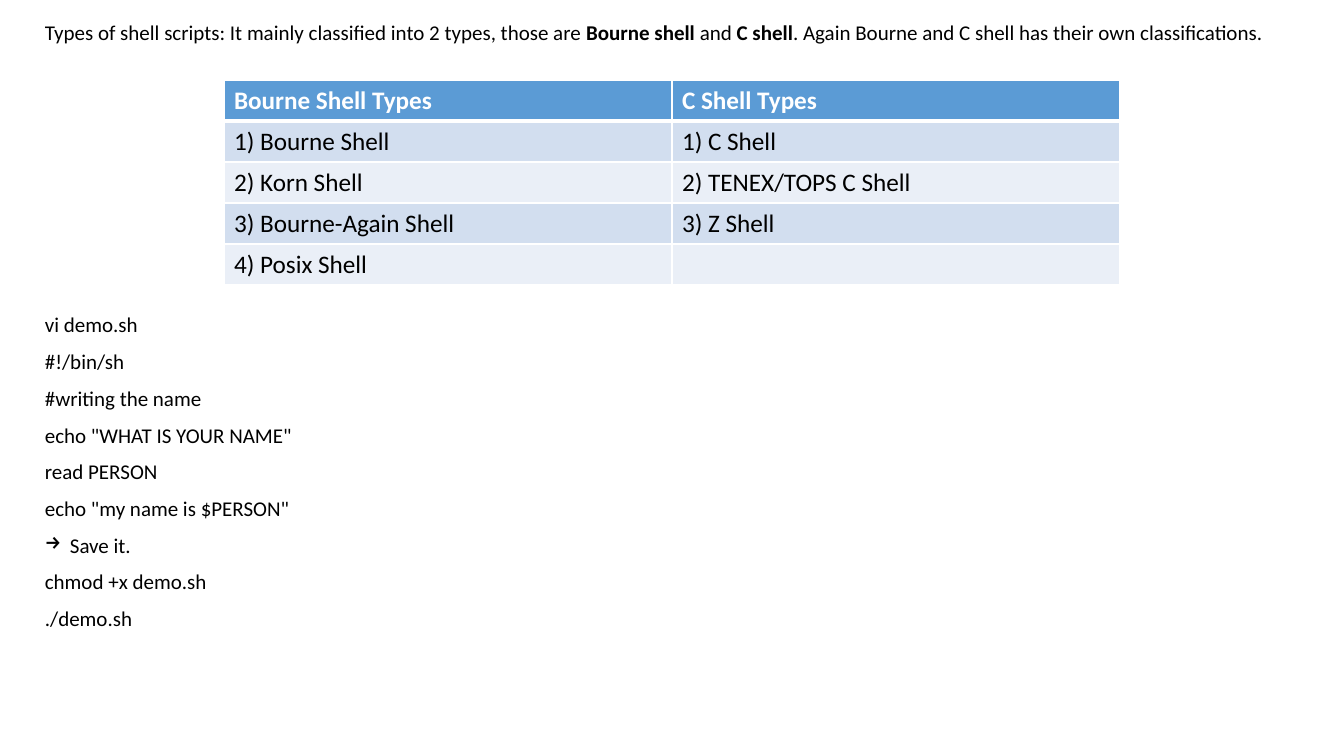
from lxml import etree
from pptx import Presentation
from pptx import util as u
from pptx.dml.color import RGBColor
from pptx.enum import text
from pptx.oxml.ns import qn

PX = 914400 / 100.8
FONT = "Calibri"
BLACK = RGBColor(0x00, 0x00, 0x00)
WHITE = RGBColor(0xFF, 0xFF, 0xFF)
HEADER_BLUE = RGBColor(0x5B, 0x9B, 0xD5)
BANDS = [RGBColor(0xD2, 0xDE, 0xEF), RGBColor(0xEA, 0xEF, 0xF7)]

INTRO = [
    ("Types of shell scripts: It mainly classified into 2 types, those are ", False),
    ("Bourne shell ", True),
    ("and ", False),
    ("C shell", True),
    (". Again Bourne and C shell has their own classifications.", False),
]
COMMANDS = [
    "vi demo.sh",
    "#!/bin/sh",
    "#writing the name",
    'echo "WHAT IS YOUR NAME"',
    "read PERSON",
    'echo "my name is $PERSON"',
    "Save it.",
    "chmod +x demo.sh",
    "./demo.sh",
]
ARROW_LINE = "Save it."
SHELL_TYPES = [
    ("Bourne Shell Types", "C Shell Types"),
    ("1) Bourne Shell", "1) C Shell"),
    ("2) Korn Shell", "2) TENEX/TOPS C Shell"),
    ("3) Bourne-Again Shell", "3) Z Shell"),
    ("4) Posix Shell", ""),
]
LINE_GAP = 10
TABLE_GAP = 193  # points left free for the table


def px(length):
    return u.Emu(round(length * PX))


def add_run(paragraph, words, size, color=BLACK, bold=False):
    run = paragraph.add_run()
    run.text = words
    for name, value in {"name": FONT, "size": u.Pt(size), "bold": bold}.items():
        setattr(run.font, name, value)
    run.font.color.rgb = color


def add_arrow_bullet(paragraph, indent):
    properties = paragraph._p.get_or_add_pPr()
    properties.set("marL", str(px(indent)))
    properties.set("indent", str(-px(indent)))
    etree.SubElement(properties, qn("a:buChar"), char="→")


def add_script_text(slide, left, top, width, height):
    frame = slide.shapes.add_textbox(px(left), px(top), px(width), px(height)).text_frame
    frame.word_wrap = True
    frame.vertical_anchor = text.MSO_ANCHOR.TOP

    lines = [INTRO] + [[(command, False)] for command in COMMANDS]
    for index, line in enumerate(lines):
        paragraph = frame.add_paragraph() if index else frame.paragraphs[0]
        gap = TABLE_GAP if index == 1 else LINE_GAP
        for name, value in {"line_spacing": 0.9, "space_before": u.Pt(gap)}.items():
            setattr(paragraph, name, value)
        for words, bold in line:
            add_run(paragraph, words, 15, bold=bold)
        if line[0][0] == ARROW_LINE:
            add_arrow_bullet(paragraph, 25)


def set_borders(cell, widths):
    properties = cell._tc.get_or_add_tcPr()
    for side, width in widths.items():
        line = etree.SubElement(properties, qn(f"a:ln{side}"), w=str(u.Pt(width)))
        fill = etree.SubElement(line, qn("a:solidFill"))
        etree.SubElement(fill, qn("a:srgbClr"), val=str(WHITE))


def add_shell_table(slide, left, top, width, height):
    rows, columns = len(SHELL_TYPES), len(SHELL_TYPES[0])
    table = slide.shapes.add_table(
        rows, columns, px(left), px(top), px(width), px(height)).table
    for row, labels in enumerate(SHELL_TYPES):
        header = row == 0
        for column, label in enumerate(labels):
            cell = table.cell(row, column)
            # The line under the header is thicker
            set_borders(cell, {"L": 1, "R": 1, "T": 3 if row == 1 else 1,
                               "B": 3 if header else 1})
            cell.fill.solid()
            cell.fill.fore_color.rgb = HEADER_BLUE if header else BANDS[(row - 1) % 2]
            if label:
                add_run(cell.text_frame.paragraphs[0], label, 18,
                        WHITE if header else BLACK, header)


def main():
    presentation = Presentation()
    presentation.slide_width, presentation.slide_height = px(1344), px(756)
    slide = presentation.slides.add_slide(presentation.slide_layouts[6])

    # Intro above the table, commands below it
    add_script_text(slide, 35, 17, 1293, 717)
    # Table of shell types
    add_shell_table(slide, 224, 80, 896, 205)

    presentation.save("out.pptx")


if __name__ == "__main__":
    main()
